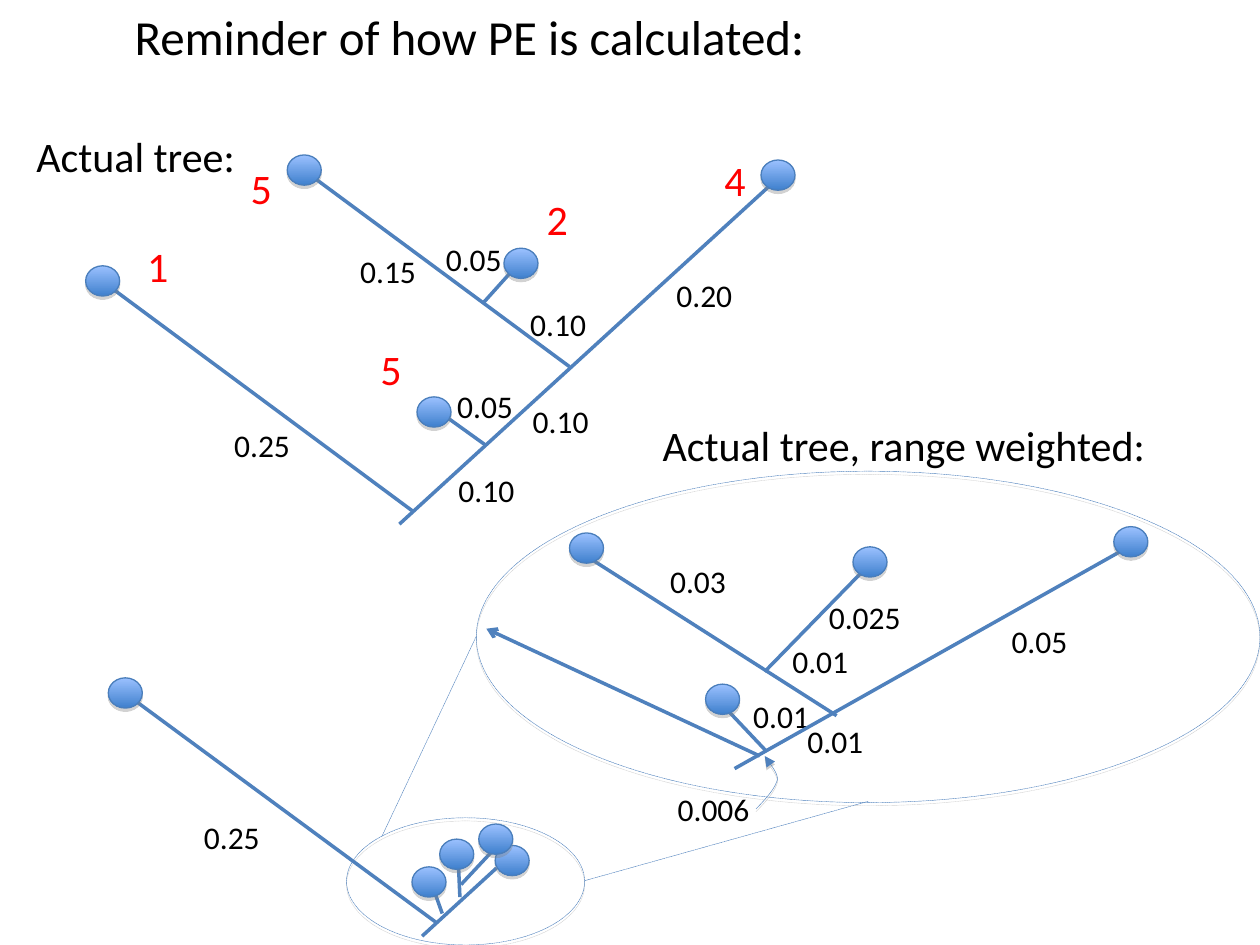
from lxml.etree import SubElement
from pptx import Presentation
from pptx.dml.color import RGBColor
from pptx.enum.dml import MSO_LINE
from pptx.enum.shapes import MSO_CONNECTOR, MSO_SHAPE
from pptx.enum.text import MSO_AUTO_SIZE as AUTO_SIZE
from pptx.oxml.ns import qn
from pptx.util import Inches, Pt

COLORS = {
    "branch": "4F81BD",
    "outline": "4A7EBB",
    "tip_top": "9BC1FF",
    "tip_bottom": "3F80CD",
    "shadow": "808080",
    "text": "000000",
    "range": "FF0000",
}
TIP_SIZE = (0.27, 0.24)
LABEL_HEIGHT = 0.4

ACTUAL_TREE = {
    "branches": [
        ((0.81, 2.23), (3.28, 4.06)),
        ((3.53, 3.3), (3.85, 3.53)),
        ((2.41, 1.35), (4.52, 2.91)),
        ((6.19, 1.4), (3.17, 4.16)),
        ((4.1, 2.11), (3.83, 2.41)),
    ],
    "lengths": [
        ("0.10", 3.54, 3.69), ("0.10", 4.13, 3.14), ("0.25", 1.76, 3.33),
        ("0.15", 2.76, 1.95), ("0.10", 4.11, 2.37), ("0.20", 5.27, 2.14),
        ("0.05", 3.44, 1.86), ("0.05", 3.53, 3.02),
    ],
    "tips": [(0.68, 2.11), (6.04, 1.27), (2.28, 1.23), (3.31, 3.15), (4, 1.97)],
}
ENLARGED_TREE = {
    "branches": [
        ((5.74, 5.6), (6.08, 5.96)),
        ((4.57, 4.36), (6.64, 5.68)),
        ((8.94, 4.35), (5.83, 6.1)),
        ((6.88, 4.5), (6.07, 5.33)),
    ],
    "lengths": [
        ("0.006", 5.28, 6.22), ("0.01", 6.31, 5.68), ("0.03", 5.22, 4.41),
        ("0.01", 6.19, 5.05), ("0.05", 7.93, 4.89), ("0.025", 6.48, 4.7),
        ("0.01", 5.88, 5.48),
    ],
    "tips": [(6.77, 4.34), (8.84, 4.18), (5.6, 5.43), (4.52, 4.23)],
}
WEIGHTED_TREE = {
    "branches": [
        ((0.99, 5.5), (3.46, 7.32)),
        ((3.46, 7.11), (3.51, 7.25)),
        ((3.64, 6.89), (3.65, 7.12)),
        ((3.94, 6.89), (3.35, 7.43)),
        ((3.94, 6.72), (3.66, 7.02)),
    ],
    "lengths": [("0.25", 1.52, 6.44)],
    "tips": [(0.86, 5.38), (3.93, 6.71), (3.49, 6.66), (3.27, 6.88), (3.8, 6.54)],
}
RANGES = [("1", 1.07, 1.86), ("4", 5.65, 1.18), ("2", 4.24, 1.49),
          ("5", 1.89, 1.24), ("5", 2.92, 2.68)]
HEADINGS = [
    ("Reminder of how PE is calculated:", (0.97, 0, 5.53, 0.57), 28),
    ("Actual tree:", (0.19, 0.99, 1.78, 0.5), 24),
    ("Actual tree, range weighted:", (5.16, 3.28, 4.05, 0.5), 24),
]
LENS_OUTLINES = [(2.75, 6.49, 1.89, 1.01), (3.78, 3.74, 6.22, 2.63)]
LENS_EDGES = [((3.03, 6.64), (3.78, 5.05)), ((6.89, 6.36), (4.64, 6.99))]
POINTER_CURVES = [
    ((6, 6.42), (6.08, 6.34), (6.15, 6.26), (6.17, 6.19)),
    ((6.17, 6.19), (6.18, 6.13), (6.09, 6.04), (6.07, 6)),
]


def rgb(name):
    return RGBColor.from_string(COLORS[name])


def style_line(line, color, width, dashed=False, arrow=None):
    line.color.rgb = rgb(color)
    line.width = Pt(width)
    if dashed:
        line.dash_style = MSO_LINE.SQUARE_DOT
    if arrow:
        SubElement(line._get_or_add_ln(), qn("a:tailEnd"), type=arrow)


def add_shadow(shape, distance, opacity):
    shape.shadow.inherit = False
    effects = shape._element.spPr.find(qn("a:effectLst"))
    outer = SubElement(effects, qn("a:outerShdw"), blurRad="0",
                       dist=str(Pt(distance)), dir="5400000", rotWithShape="0")
    color = SubElement(outer, qn("a:srgbClr"), val=COLORS["shadow"])
    SubElement(color, qn("a:alpha"), val=str(opacity * 1000))


def add_text(slide, text, box, size, color="text"):
    frame = slide.shapes.add_textbox(*map(Inches, box)).text_frame
    frame.word_wrap = False
    frame.auto_size = AUTO_SIZE.SHAPE_TO_FIT_TEXT
    run = frame.paragraphs[0].add_run()
    run.text = text
    run.font.name = "Calibri"
    run.font.size = Pt(size)
    run.font.color.rgb = rgb(color)


def add_segment(slide, start, end, width=2, dashed=False, arrow=None):
    segment = slide.shapes.add_connector(
        MSO_CONNECTOR.STRAIGHT, *map(Inches, start + end))
    style_line(segment.line, "branch", width, dashed, arrow)
    SubElement(segment._element.spPr, qn("a:effectLst"))


def add_ellipse(slide, box):
    ellipse = slide.shapes.add_shape(MSO_SHAPE.OVAL, *map(Inches, box))
    add_shadow(ellipse, 1.8, 35)
    return ellipse


def add_tip(slide, position):
    tip = add_ellipse(slide, position + TIP_SIZE)
    tip.fill.gradient()
    tip.fill.gradient_angle = 270
    for stop, color in zip(tip.fill.gradient_stops, ("tip_top", "tip_bottom")):
        stop.color.rgb = rgb(color)
        stop.position = 0 if color == "tip_top" else 1
    style_line(tip.line, "outline", 0.75)


def add_lens(slide, box):
    lens = add_ellipse(slide, box)
    lens.fill.background()
    style_line(lens.line, "outline", 0.25, dashed=True)


def curve_point(curve, t):
    weights = ((1 - t) ** 3, 3 * t * (1 - t) ** 2, 3 * t ** 2 * (1 - t), t ** 3)
    return tuple(Inches(sum(w * v for w, v in zip(weights, axis)))
                 for axis in zip(*curve))


def add_pointer(slide, curves, steps=10):
    points = [curve_point(curve, step / steps)
              for curve in curves for step in range(1, steps + 1)]
    builder = slide.shapes.build_freeform(*curve_point(curves[0], 0))
    builder.add_line_segments(points, close=False)
    pointer = builder.convert_to_shape()
    pointer.fill.background()
    style_line(pointer.line, "branch", 0.25, arrow="triangle")
    add_shadow(pointer, 1.6, 38)


def add_tree(slide, tree):
    for text, left, top in tree["lengths"]:
        width = 0.77 if len(text) > 4 else 0.64
        add_text(slide, text, (left, top, width, LABEL_HEIGHT), 18)
    for start, end in tree["branches"]:
        add_segment(slide, start, end)
    for position in tree["tips"]:
        add_tip(slide, position)


def main():
    deck = Presentation()
    deck.slide_width, deck.slide_height = Inches(10), Inches(7.5)
    slide = deck.slides.add_slide(deck.slide_layouts[6])

    add_tree(slide, ENLARGED_TREE)
    for box in LENS_OUTLINES:
        add_lens(slide, box)
    for start, end in LENS_EDGES:
        add_segment(slide, start, end, width=0.25, dashed=True)
    add_segment(slide, (6.03, 6), (3.86, 4.99), arrow="arrow")
    add_pointer(slide, POINTER_CURVES)

    add_tree(slide, ACTUAL_TREE)
    for text, left, top in RANGES:
        add_text(slide, text, (left, top, 0.37, 0.5), 24, "range")
    add_tree(slide, WEIGHTED_TREE)
    for text, box, size in HEADINGS:
        add_text(slide, text, box, size)

    deck.save("out.pptx")


if __name__ == "__main__":
    main()
